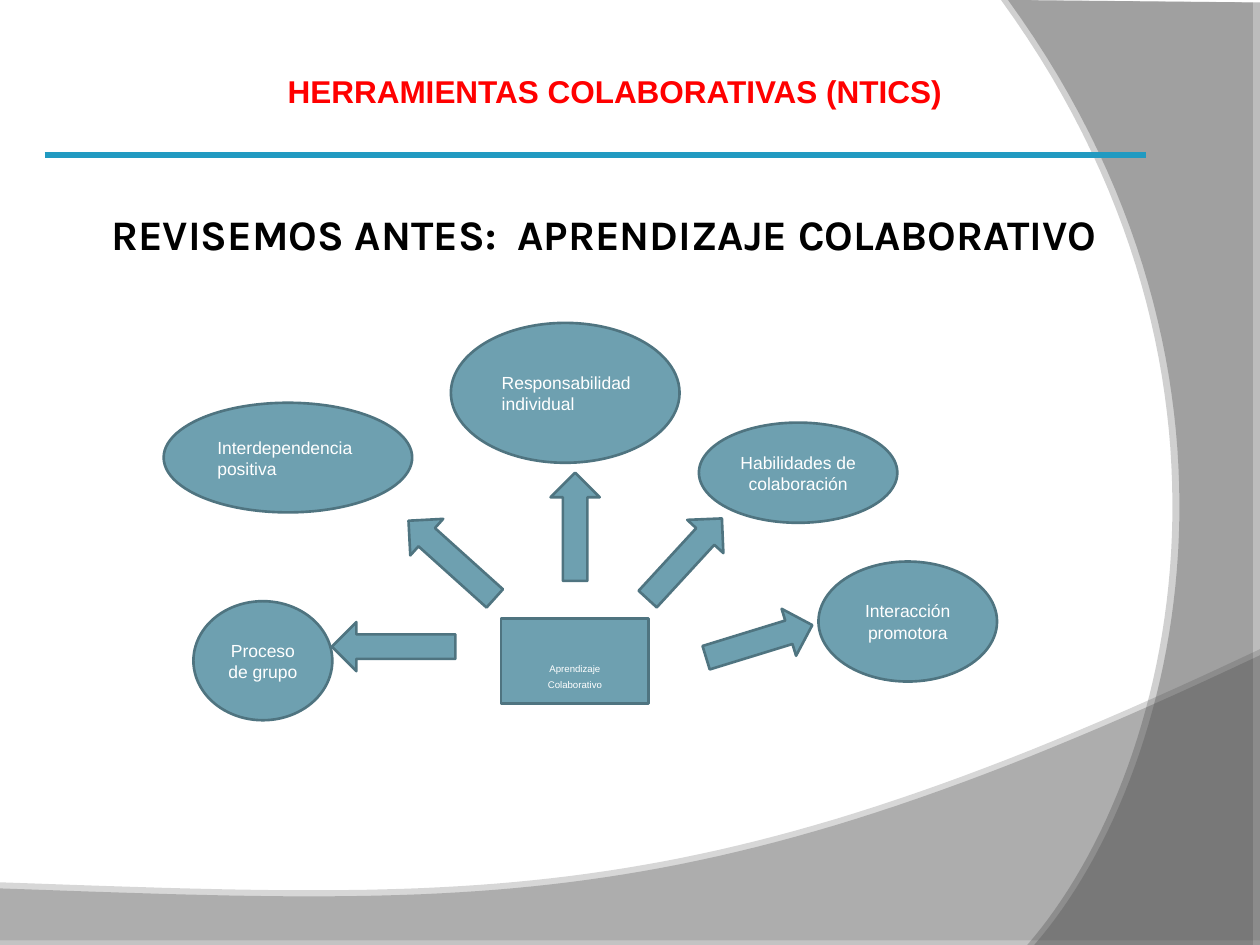
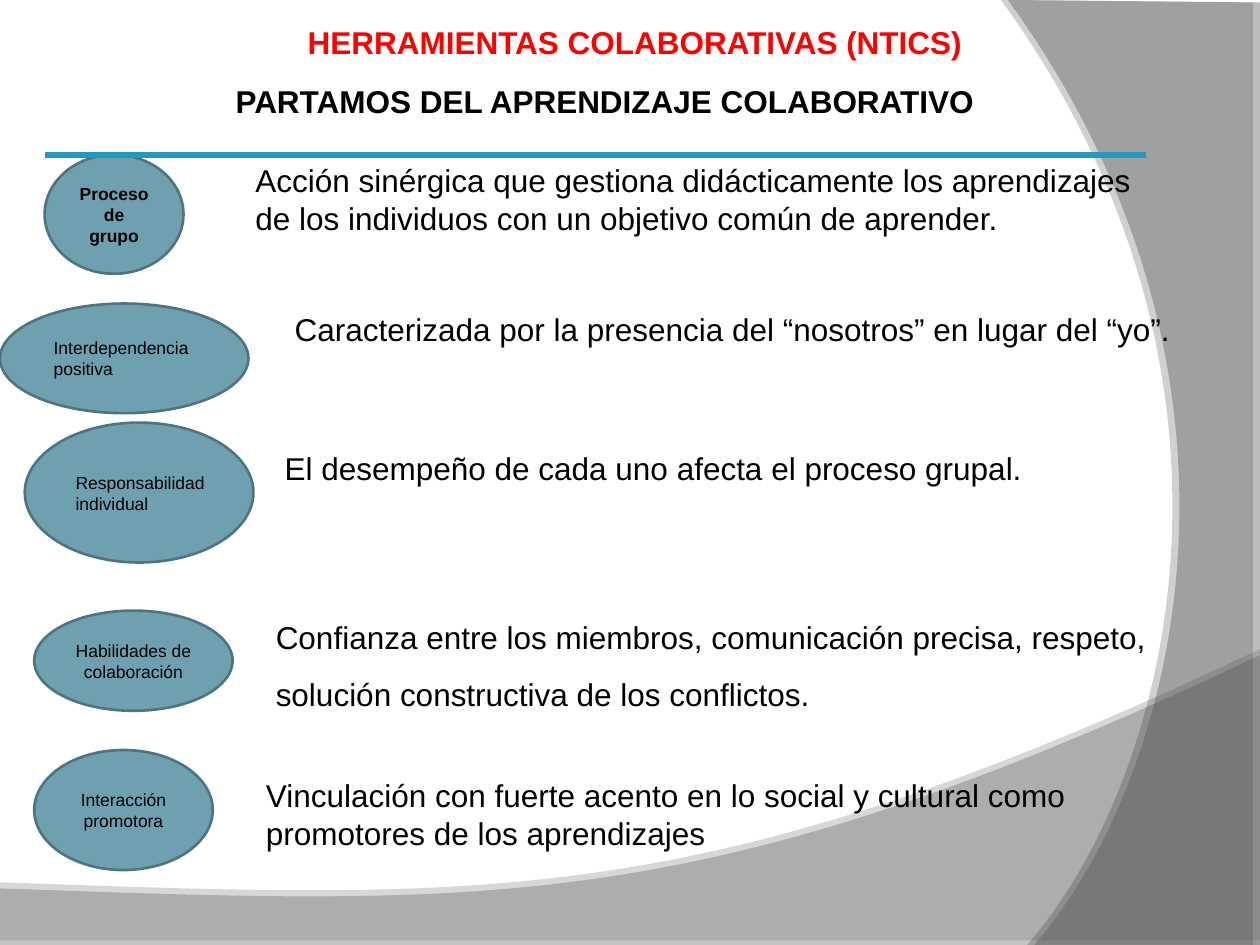
from lxml.etree import SubElement
from pptx import Presentation
from pptx.dml.color import RGBColor
from pptx.enum.shapes import MSO_CONNECTOR, MSO_SHAPE
from pptx.enum.text import MSO_ANCHOR, MSO_AUTO_SIZE, PP_ALIGN
from pptx.oxml.ns import qn
from pptx.util import Cm, Pt

TEAL = RGBColor(0x6E, 0xA0, 0xB0)
EDGE = RGBColor(0x4F, 0x74, 0x80)
BLUE = RGBColor(0x21, 0x9A, 0xC1)
RED = RGBColor(0xFF, 0x00, 0x00)
BLACK = RGBColor(0x00, 0x00, 0x00)
WHITE = RGBColor(0xFF, 0xFF, 0xFF)
GRAY = RGBColor(0x7C, 0x7C, 0x7C)
DARK = RGBColor(0x59, 0x59, 0x59)

LEFT, MID = PP_ALIGN.LEFT, PP_ALIGN.CENTER
PLAIN = {"name": "Arial", "size": Pt(18), "bold": False}
STRONG = PLAIN | {"bold": True}
SMALL = PLAIN | {"size": Pt(10)}
TINY = PLAIN | {"size": Pt(5.5)}
KARLA = {"name": "Karla", "size": Pt(24), "bold": True}


def write(shape, lines, form, ink, align=LEFT, gap=0, anchor=MSO_ANCHOR.TOP, pads=(0.25, 0.25)):
    frame = shape.text_frame
    look = {"word_wrap": True, "auto_size": MSO_AUTO_SIZE.NONE,
            "vertical_anchor": anchor, "margin_left": Cm(pads[0]),
            "margin_right": Cm(pads[1]), "margin_top": Cm(0.13),
            "margin_bottom": Cm(0.13)}
    for key, val in look.items():
        setattr(frame, key, val)
    for num, line in enumerate(lines):
        para = frame.add_paragraph() if num else frame.paragraphs[0]
        para.alignment = align
        para.space_before = Pt(gap if num else 0)
        run = para.add_run()
        run.text = line
        for key, val in form.items():
            setattr(run.font, key, val)
        run.font.color.rgb = ink


def draw(slide, kind, *box):
    shape = slide.shapes.add_shape(kind, *map(Cm, box))
    shape.shadow.inherit = False
    shape.fill.solid()
    shape.fill.fore_color.rgb = TEAL
    shape.line.color.rgb = EDGE
    shape.line.width = Pt(1.5)
    return shape


deck = Presentation()
deck.slide_width, deck.slide_height = Cm(25.4), Cm(19.05)
layout = deck.slide_layouts[5]
first = deck.slides.add_slide(layout)
second = deck.slides.add_slide(layout)

bands = [
    ([(0, 17.91), (0, 19.08), (25.4, 19.08), (25.4, 13.21)],
     [(14.2, 18.52), (9.93, 18.26), (0, 17.91)], GRAY, 45, 35, 3.5, 270),
    ([(25.4, 0.05), (25.4, 19.05), (20.85, 19.05)],
     [(23.75, 15.72), (25.86, 7.62), (20.32, 0)], DARK, 40, 45, 4, 180),
]
for num, (dots, curve, tint, solid, dim, dist, turn) in enumerate(bands):
    ends = [dots[-1], *curve]
    bend = []
    for step in range(1, 61):
        t = step / 60
        parts = ((1 - t) ** 3, 3 * t * (1 - t) ** 2, 3 * t * t * (1 - t), t ** 3)
        bend.append([sum(p * end[axis] for p, end in zip(parts, ends)) for axis in (0, 1)])
    pen = first.shapes.build_freeform(Cm(dots[0][0]), Cm(dots[0][1]))
    pen.add_line_segments([(Cm(x), Cm(y)) for x, y in [*dots[1:], *bend]], close=True)
    band = pen.convert_to_shape()
    band.shadow.inherit = False
    band.fill.solid()
    band.fill.fore_color.rgb = tint
    band.line.fill.background()
    props = band.element.spPr
    SubElement(props.find(qn("a:solidFill"))[0], qn("a:alpha"), val=str(solid * 1000))
    shade = SubElement(props.find(qn("a:effectLst")), qn("a:outerShdw"), blurRad="0",
                       dist=str(Pt(dist)), dir=str(turn * 60000), algn="ctr", rotWithShape="0")
    tone = SubElement(shade, qn("a:srgbClr"), val=str(BLACK))
    SubElement(tone, qn("a:alpha"), val=str(dim * 1000))
    band.element.nvSpPr.cNvPr.set("id", str(20 + num))
    layout.shapes.element.insert(2 + num, band.element)

nodes = [
    (["Interacción", "promotora"], MID, 3.6, 2.42, (16.5, 11.32), (0.69, 15.12)),
    (["Habilidades de colaboración"], MID, 4, 2.02, (14.09, 8.52), (0.69, 12.31)),
    (["Responsabilidad", "individual"], LEFT, 4.61, 2.82, (9.09, 6.51), (0.5, 8.52)),
    (["Interdependencia", "positiva"], LEFT, 5.01, 2.21, (3.3, 8.12), (0, 6.12)),
    (["Proceso de grupo"], MID, 2.8, 2.4, (3.9, 12.12), (0.9, 3.12)),
]
for lines, align, wide, high, *spots in nodes:
    for slide, spot, ink in zip((first, second), spots, (WHITE, BLACK)):
        oval = draw(slide, MSO_SHAPE.OVAL, *spot, wide, high)
        heavy = slide is second and lines[0].startswith("Proceso")
        write(oval, lines, SMALL | {"bold": heavy}, ink, align, anchor=MSO_ANCHOR.MIDDLE,
              pads=(0.35, 0) if align == LEFT else (0.25, 0.25))

core = draw(first, MSO_SHAPE.RECTANGLE, 10.1, 12.47, 2.98, 1.71)
write(core, ["Aprendizaje", "Colaborativo"], TINY, WHITE, MID, 2.5, MSO_ANCHOR.MIDDLE, (0, 0))
core.text_frame.margin_top = Cm(0.77)

arrows = [(14.81, 11.81, 2.24, 72.9), (13.31, 10.16, 2.21, 42.6), (11.1, 9.53, 2.18, 0),
          (8.61, 10.11, 2.34, 312), (7.44, 11.79, 2.49, 270)]
for left, top, high, turn in arrows:
    arrow = draw(first, MSO_SHAPE.UP_ARROW, left, top, 0.99, high)
    arrow.rotation = turn

notes = [
    (4.9, 3.12, 1.78, ["Acción sinérgica que gestiona didácticamente los aprendizajes "
                       "de los individuos con un objetivo común de aprender."]),
    (5.31, 12.32, 2.18, ["Confianza entre los miembros, comunicación precisa, respeto,",
                         "solución constructiva de los conflictos."]),
    (5.49, 8.92, 1.02, ["El desempeño de cada uno afecta el proceso grupal."]),
    (5.69, 6.12, 1.02, ["Caracterizada por la presencia del “nosotros” en lugar del “yo”."]),
    (5.11, 15.52, 1.78, ["Vinculación con fuerte acento en lo social y cultural como "
                         "promotores de los aprendizajes"]),
]
for left, top, high, lines in notes:
    note = second.shapes.add_textbox(Cm(left), Cm(top), Cm(18.8), Cm(high))
    write(note, lines, PLAIN, BLACK, gap=11.2)

heads = [
    (first, (4.29, 1.32, 16.21, 1.02), "REVISEMOS ANTES:  APRENDIZAJE COLABORATIVO",
     (2.11, 3.12, 20.75, 3.18), KARLA, 0.13),
    (second, (4.9, 0.33, 15.8, 1.02), "PARTAMOS DEL APRENDIZAJE COLABORATIVO",
     (4.5, 1.52, 15.6, 1.02), STRONG, 0.25),
]
for slide, place, words, box, form, pad in heads:
    title = slide.shapes.title
    title.left, title.top, title.width, title.height = map(Cm, box)
    write(title, [words], form, BLACK, anchor=MSO_ANCHOR.MIDDLE, pads=(pad, pad))
    rule = slide.shapes.add_connector(MSO_CONNECTOR.STRAIGHT, Cm(0.9), Cm(3.12), Cm(23.1), Cm(3.12))
    rule.line.color.rgb = BLUE
    rule.line.width = Pt(3.5)
    SubElement(rule.element.spPr, qn("a:effectLst"))
    banner = slide.shapes.add_textbox(*map(Cm, place))
    write(banner, ["HERRAMIENTAS COLABORATIVAS (NTICS)"], STRONG, RED, MID)

deck.save("out.pptx")
